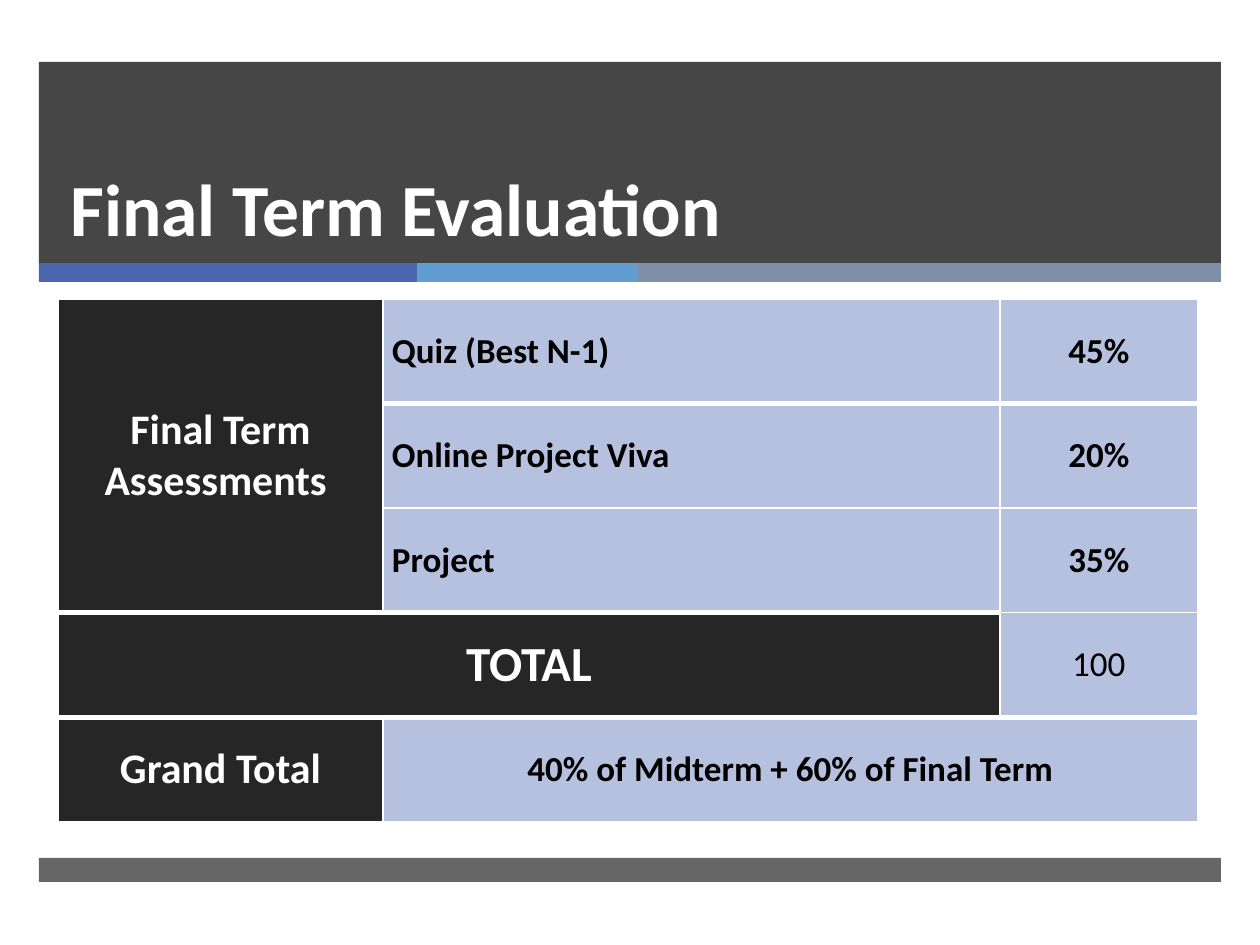
from dataclasses import dataclass

from lxml.etree import SubElement
from pptx import Presentation
from pptx.dml.color import RGBColor
from pptx.enum.shapes import MSO_SHAPE as Shape
from pptx.enum.text import MSO_ANCHOR as Anchor, PP_ALIGN as Align
from pptx.oxml.ns import qn
from pptx.util import Pt

EMU_PER_PX = 914400 / 126
FONT = "Calibri"
DARK, LIGHT, WHITE, BLACK = "262626", "B5C1DF", "FFFFFF", "000000"


@dataclass
class Band:
    left: int
    top: int
    width: int
    height: int
    color: str
    opacity: int = 100


@dataclass
class Entry:
    row: int
    column: int
    text: str
    size: int = 20
    dark: bool = False
    bold: bool = True
    align: Align = Align.CENTER
    rows: int = 1
    columns: int = 1
    top: int = 1
    bottom: int = 1


BANDS = [
    Band(39, 62, 1182, 202, DARK, 85),
    Band(39, 263, 378, 19, "4A66AC"),
    Band(417, 263, 221, 19, "629DD1"),
    Band(638, 263, 583, 19, "7F8FA9"),
    Band(39, 858, 1182, 24, DARK, 70),
]
COLUMN_WIDTHS = [325, 617, 198]
ENTRIES = [
    Entry(0, 0, "Final Term\nAssessments ", 24, dark=True, rows=3, bottom=3),
    Entry(0, 1, "Quiz (Best N-1)", align=Align.LEFT, bottom=3),
    Entry(0, 2, "45%", bottom=3),
    Entry(1, 1, "Online Project Viva", align=Align.LEFT, top=3),
    Entry(1, 2, "20%", top=3),
    Entry(2, 1, "Project", align=Align.LEFT, bottom=3),
    Entry(2, 2, "35%"),
    Entry(3, 0, "TOTAL", 28, dark=True, columns=2, top=3, bottom=3),
    Entry(3, 2, "100", bold=False, bottom=3),
    Entry(4, 0, "Grand Total", 24, dark=True, top=3),
    Entry(4, 1, "40% of Midterm + 60% of Final Term", columns=2, top=3),
]


def px(length: int) -> int:
    return round(length * EMU_PER_PX)


def rgb(color: str) -> RGBColor:
    return RGBColor.from_string(color)


def style(paragraph, size: int, color: str, bold: bool) -> None:
    font = paragraph.font
    font.name, font.size, font.bold = FONT, Pt(size), bold
    font.color.rgb = rgb(color)


def draw_band(slide, band: Band) -> None:
    shape = slide.shapes.add_shape(Shape.RECTANGLE, px(band.left), px(band.top),
                                   px(band.width), px(band.height))
    shape.shadow.inherit = False
    shape.line.fill.background()
    shape.fill.solid()
    shape.fill.fore_color.rgb = rgb(band.color)
    if band.opacity < 100:
        color = shape.fill._xPr.find(".//" + qn("a:srgbClr"))
        SubElement(color, qn("a:alpha"), val=str(band.opacity * 1000))


def add_borders(cell, top: int, bottom: int) -> None:
    properties = cell._tc.get_or_add_tcPr()
    for side, weight in zip("LRTB", (1, 1, top, bottom)):
        line = SubElement(properties, qn(f"a:ln{side}"), w=str(Pt(weight)))
        SubElement(SubElement(line, qn("a:solidFill")), qn("a:srgbClr"), val=WHITE)


def fill_entry(table, entry: Entry) -> None:
    last_row = entry.row + entry.rows - 1
    last_column = entry.column + entry.columns - 1
    # Borders and fill go on every cell that the entry covers
    for row in range(entry.row, last_row + 1):
        for column in range(entry.column, last_column + 1):
            covered = table.cell(row, column)
            add_borders(covered, entry.top, entry.bottom)
            covered.fill.solid()
            covered.fill.fore_color.rgb = rgb(DARK if entry.dark else LIGHT)
    cell = table.cell(entry.row, entry.column)
    if entry.rows * entry.columns > 1:
        cell.merge(table.cell(last_row, last_column))
    cell.vertical_anchor = Anchor.MIDDLE
    cell.margin_left = cell.margin_right = px(9)
    cell.margin_top = cell.margin_bottom = 0
    cell.text = entry.text
    for paragraph in cell.text_frame.paragraphs:
        paragraph.alignment = entry.align
        style(paragraph, entry.size, WHITE if entry.dark else BLACK, entry.bold)


def draw_title(slide, text: str) -> None:
    title = slide.shapes.title
    title.left, title.top, title.width, title.height = map(px, (58, 78, 971, 180))
    frame = title.text_frame
    frame.text = text
    frame.word_wrap = True
    frame.vertical_anchor = Anchor.BOTTOM
    paragraph = frame.paragraphs[0]
    paragraph.alignment = Align.LEFT
    paragraph.line_spacing = Pt(46)
    style(paragraph, 42, WHITE, True)


def draw_table(slide) -> None:
    table = slide.shapes.add_table(5, len(COLUMN_WIDTHS), px(58), px(299),
                                   px(sum(COLUMN_WIDTHS)), px(523)).table
    for column, width in zip(table.columns, COLUMN_WIDTHS):
        column.width = px(width)
    for entry in ENTRIES:
        fill_entry(table, entry)


def main() -> None:
    presentation = Presentation()
    presentation.slide_width, presentation.slide_height = px(1260), px(945)
    slide = presentation.slides.add_slide(presentation.slide_layouts[5])

    # Header, accent stripes and footer
    for band in BANDS:
        draw_band(slide, band)

    # Bring the title in front of the header band
    slide.shapes._spTree.append(slide.shapes.title._element)
    draw_title(slide, "Final Term Evaluation")

    # Evaluation breakdown
    draw_table(slide)
    presentation.save("out.pptx")


if __name__ == "__main__":
    main()
